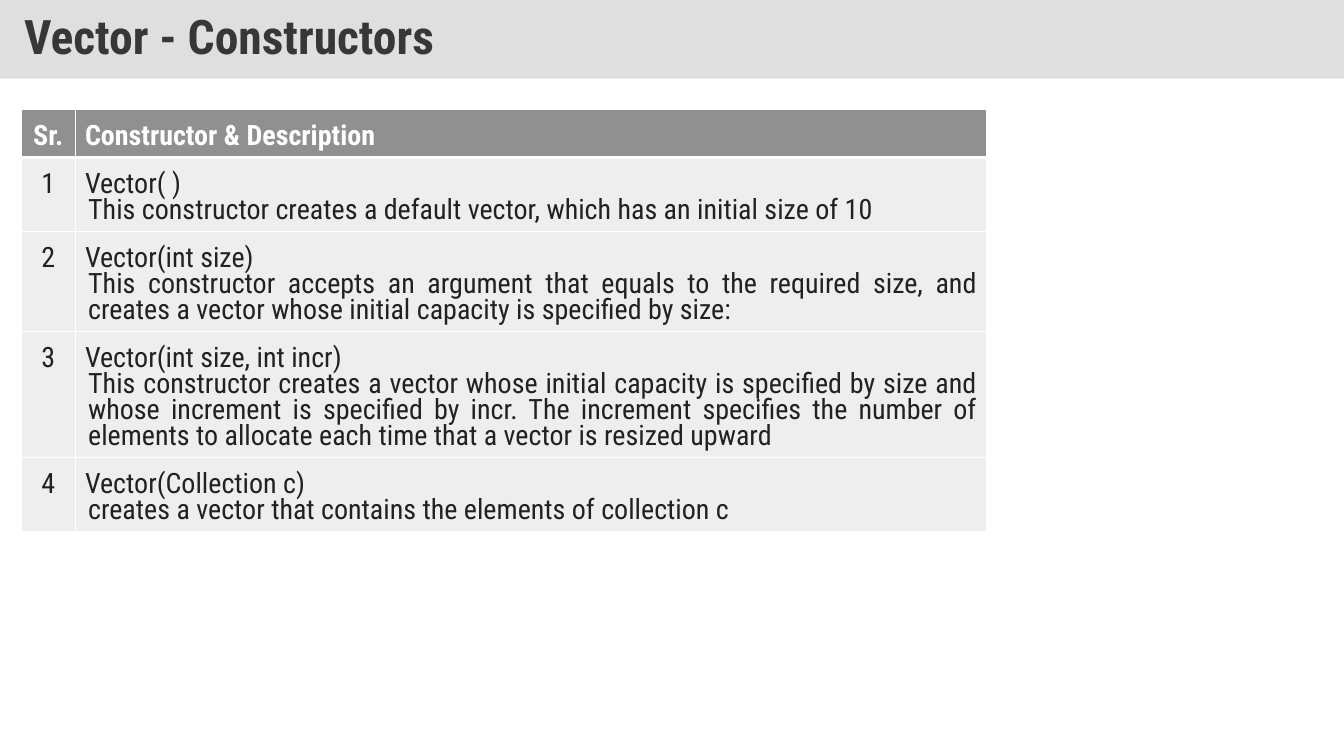
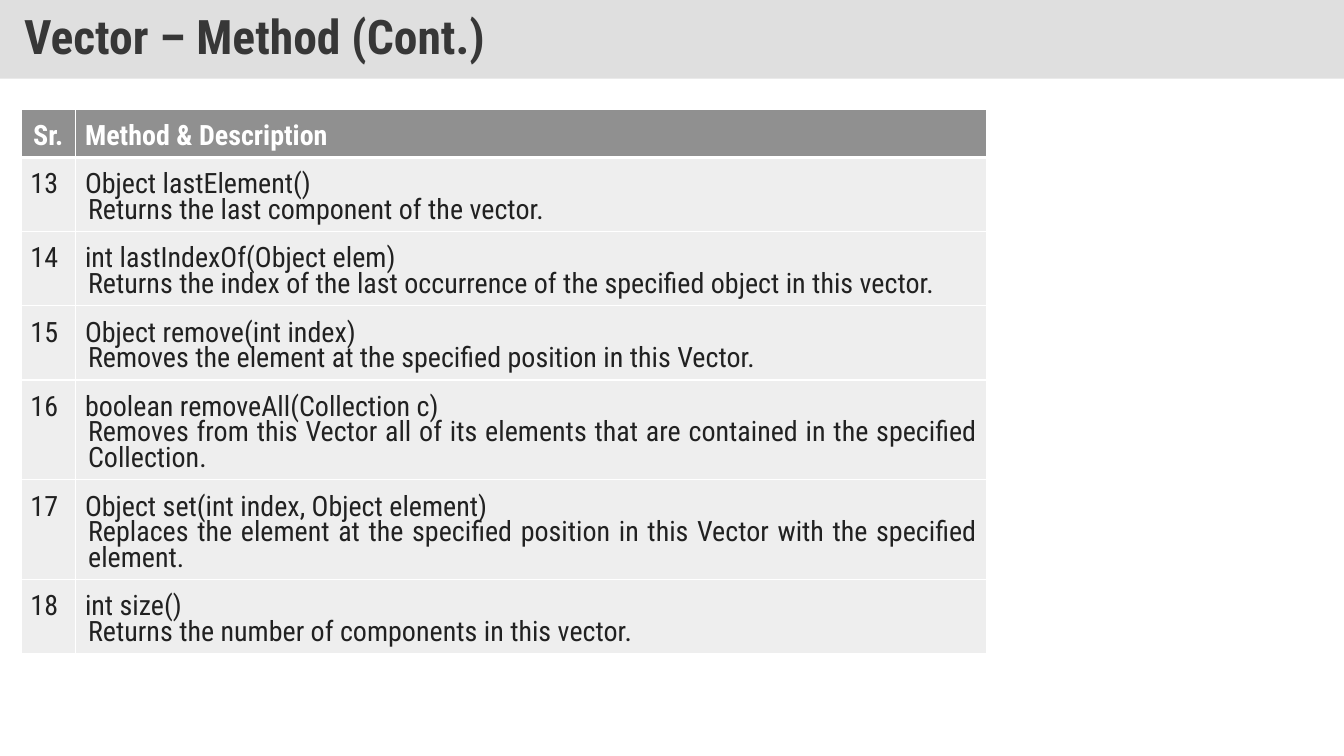
from lxml import etree
from pptx import Presentation
from pptx import util as u
from pptx.dml.color import RGBColor
from pptx.enum import text
from pptx.oxml.ns import qn

PX = 9525  # EMU per px, 96 px to the inch
FONT = "Roboto Condensed"
WHITE = RGBColor(0xFF, 0xFF, 0xFF)
BAND = RGBColor(0xC0, 0xC0, 0xC0)
TITLE_INK = RGBColor(0x37, 0x37, 0x37)
HEADER = RGBColor(0x90, 0x90, 0x90)
ROW = RGBColor(0xEE, 0xEE, 0xEE)
INK = RGBColor(0x21, 0x21, 0x21)

SLIDE_WIDTH, SLIDE_HEIGHT, BAND_HEIGHT = 1280, 720, 75
TABLE_LEFT, TABLE_TOP, ROW_HEIGHT = 20, 104, 39
COLUMNS = (52, 868)
LEFT, CENTER, JUSTIFY = text.PP_ALIGN.LEFT, text.PP_ALIGN.CENTER, text.PP_ALIGN.JUSTIFY

# Title, second heading, first number, number alignment, entries
SLIDES = [
    ("Vector - Constructors", "Constructor & Description", 1, CENTER, [
        ("Vector( )",
         "This constructor creates a default vector, which has an initial size of 10"),
        ("Vector(int size)",
         "This constructor accepts an argument that equals to the required size, and "
         "creates a vector whose initial capacity is specified by size:"),
        ("Vector(int size, int incr)",
         "This constructor creates a vector whose initial capacity is specified by size "
         "and whose increment is specified by incr. The increment specifies the number of "
         "elements to allocate each time that a vector is resized upward"),
        ("Vector(Collection c)",
         "creates a vector that contains the elements of collection c"),
    ]),
    ("Vector – Method (Cont.)", "Method & Description", 13, LEFT, [
        ("Object lastElement()", "Returns the last component of the vector."),
        ("int lastIndexOf(Object elem)",
         "Returns the index of the last occurrence of the specified object in this vector."),
        ("Object remove(int index)",
         "Removes the element at the specified position in this Vector."),
        ("boolean removeAll(Collection c)",
         "Removes from this Vector all of its elements that are contained in the "
         "specified Collection."),
        ("Object set(int index, Object element)",
         "Replaces the element at the specified position in this Vector with the "
         "specified element."),
        ("int size()", "Returns the number of components in this vector."),
    ]),
]


def style(paragraph, size, color, bold, alignment, spacing):
    paragraph.alignment = alignment
    paragraph.line_spacing = spacing
    for run in paragraph.runs:
        run.font.name = FONT
        run.font.size = u.Pt(size)
        run.font.bold = bold
        run.font.color.rgb = color


def fill_cell(cell, lines, row, alignment):
    is_header = row == 0
    cell.margin_left = cell.margin_right = 9 * PX
    cell.margin_top = cell.margin_bottom = 5 * PX
    # White borders, with a heavier rule under the header
    properties = cell._tc.get_or_add_tcPr()
    for side in "LRTB":
        heavy = (row, side) in ((0, "B"), (1, "T"))
        border = etree.SubElement(properties, qn(f"a:ln{side}"), w=str(u.Pt(3 if heavy else 1)))
        border_fill = etree.SubElement(border, qn("a:solidFill"))
        etree.SubElement(border_fill, qn("a:srgbClr"), val=str(WHITE))
    cell.fill.solid()
    cell.fill.fore_color.rgb = HEADER if is_header else ROW
    # First line, then an indented description if there is one
    cell.text_frame.text = "\n".join(lines)
    first, *descriptions = cell.text_frame.paragraphs
    style(first, 20, WHITE if is_header else INK, is_header, alignment, 1.15)
    for paragraph in descriptions:
        style(paragraph, 20, INK, False, JUSTIFY, u.Pt(18.4))
        paragraph._p.get_or_add_pPr().set("marL", str(3 * PX))


presentation = Presentation()
presentation.slide_width = SLIDE_WIDTH * PX
presentation.slide_height = SLIDE_HEIGHT * PX

for title_text, heading, first_number, number_alignment, entries in SLIDES:
    slide = presentation.slides.add_slide(presentation.slide_layouts[5])

    # Title on a translucent band
    title = slide.shapes.title
    title.left, title.top = 0, 0
    title.width, title.height = SLIDE_WIDTH * PX, BAND_HEIGHT * PX
    title.fill.solid()
    title.fill.fore_color.rgb = BAND
    band_color = title.fill._xPr.find(qn("a:solidFill"))[0]
    etree.SubElement(band_color, qn("a:alpha"), val="50000")
    frame = title.text_frame
    frame.text = title_text
    frame.word_wrap = True
    frame.auto_size = text.MSO_AUTO_SIZE.NONE
    frame.vertical_anchor = text.MSO_ANCHOR.MIDDLE
    frame.margin_left = frame.margin_right = 23 * PX
    frame.margin_top = frame.margin_bottom = 12 * PX
    style(frame.paragraphs[0], 34, TITLE_INK, True, LEFT, 0.9)

    # Numbered table; rows grow with their text
    row_count = len(entries) + 1
    table = slide.shapes.add_table(
        row_count, len(COLUMNS), TABLE_LEFT * PX, TABLE_TOP * PX,
        sum(COLUMNS) * PX, row_count * ROW_HEIGHT * PX).table
    table.horz_banding = False
    for column, width in zip(table.columns, COLUMNS):
        column.width = width * PX
    fill_cell(table.cell(0, 0), ["Sr."], 0, CENTER)
    fill_cell(table.cell(0, 1), [heading], 0, LEFT)
    for row, entry in enumerate(entries, start=1):
        fill_cell(table.cell(row, 0), [str(first_number + row - 1)], row, number_alignment)
        fill_cell(table.cell(row, 1), entry, row, LEFT)

presentation.save("out.pptx")
